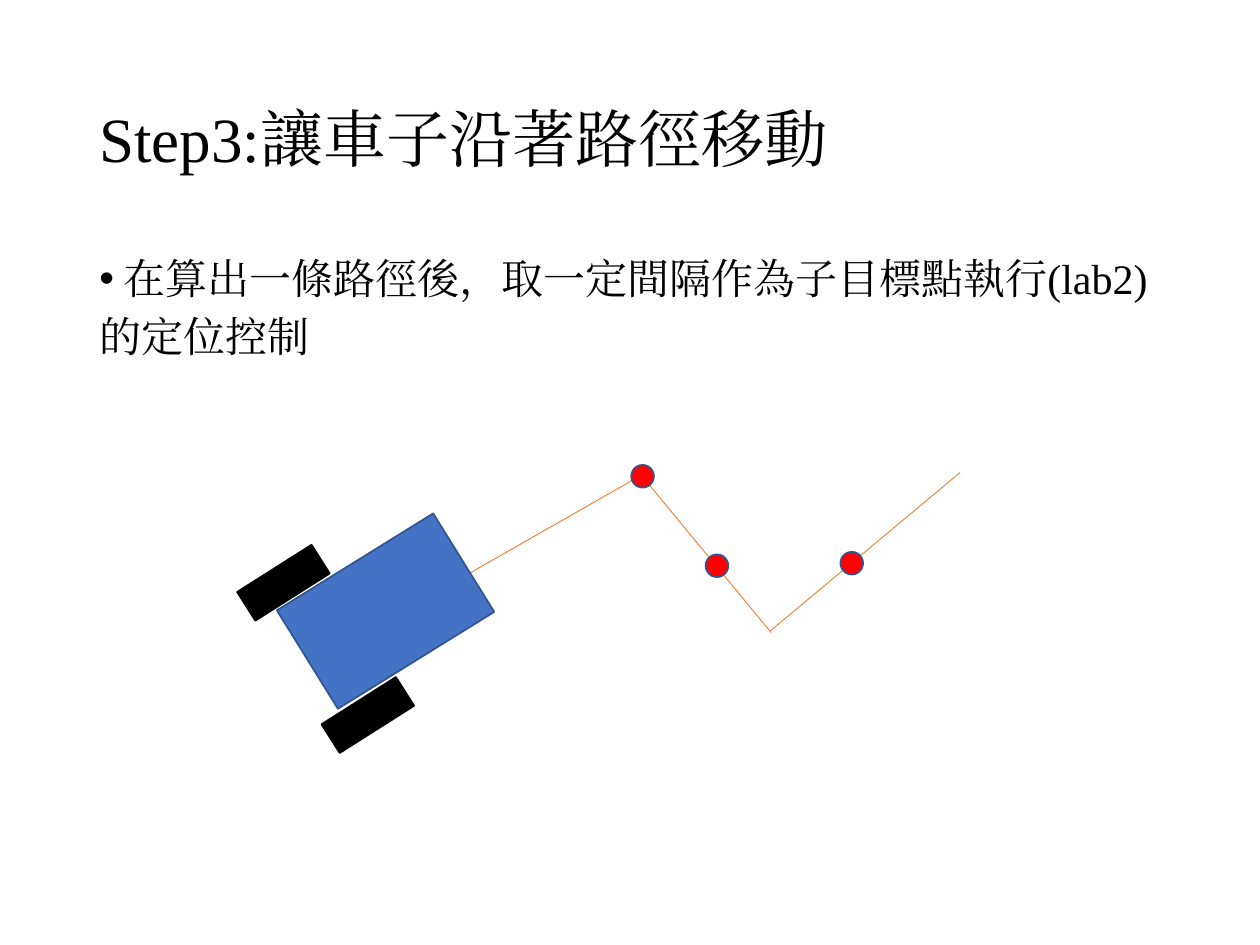
from lxml.etree import SubElement
from pptx import Presentation
from pptx.dml.color import RGBColor
from pptx.enum.shapes import MSO_CONNECTOR, MSO_SHAPE
from pptx.enum.text import MSO_ANCHOR
from pptx.oxml.ns import qn
from pptx.util import Inches, Pt

BLACK = RGBColor(0x00, 0x00, 0x00)
BLUE = RGBColor(0x44, 0x72, 0xC4)
OUTLINE = RGBColor(0x32, 0x54, 0x91)
ORANGE = RGBColor(0xED, 0x7D, 0x31)
RED = RGBColor(0xFF, 0x00, 0x00)
FONT = "Times New Roman"

prs = Presentation()
prs.slide_width, prs.slide_height = Inches(10), Inches(7.5)
s = prs.slides.add_slide(prs.slide_layouts[6])


def add_text(lines, top, height, size, anchor=MSO_ANCHOR.TOP, before=0, bullets=0):
    """Add a text box whose first `bullets` paragraphs are bulleted."""
    tf = s.shapes.add_textbox(Inches(0.69), Inches(top), Inches(8.62), Inches(height)).text_frame
    tf.word_wrap = True
    tf.vertical_anchor = anchor
    for i, line in enumerate(lines):
        p = tf.paragraphs[0] if i == 0 else tf.add_paragraph()
        p.line_spacing = 0.9
        p.space_before = Pt(before)
        if i < bullets:
            pPr = p._p.get_or_add_pPr()
            pPr.set("marL", str(Inches(0.19)))
            pPr.set("indent", str(Inches(-0.19)))
            SubElement(pPr, qn("a:buFont")).set("typeface", "Arial")
            SubElement(pPr, qn("a:buChar")).set("char", "•")
        r = p.add_run()
        r.text = line
        r.font.name = FONT
        r.font.size = Pt(size)
        r.font.color.rgb = BLACK
        SubElement(r._r.get_or_add_rPr(), qn("a:ea")).set("typeface", FONT)


def add_solid(kind, left, top, width, height, fill, line, rotation=0):
    sp = s.shapes.add_shape(kind, Inches(left), Inches(top), Inches(width), Inches(height))
    sp.shadow.inherit = False
    sp.fill.solid()
    sp.fill.fore_color.rgb = fill
    sp.line.color.rgb = line
    sp.line.width = Pt(1)
    sp.rotation = rotation


# Path, beginning under the car
for x1, y1, x2, y2 in [(3.06, 4.93, 5.11, 3.76), (5.08, 3.76, 6.12, 5.02), (6.11, 5.01, 7.62, 3.75)]:
    cxn = s.shapes.add_connector(MSO_CONNECTOR.STRAIGHT, Inches(x1), Inches(y1), Inches(x2), Inches(y2))
    cxn.line.color.rgb = ORANGE
    cxn.line.width = Pt(0.5)
    SubElement(cxn._element.spPr, qn("a:effectLst"))

# Title and body
add_text(["Step3:讓車子沿著路徑移動"], 0.4, 1.45, 36, anchor=MSO_ANCHOR.MIDDLE)
add_text(["在算出一條路徑後，取一定間隔作為子目標點執行(lab2)", "的定位控制"],
         2, 4.76, 24, before=7.5, bullets=1)

# Car: body and two wheels
add_solid(MSO_SHAPE.RECTANGLE, 2.33, 4.39, 1.46, 0.92, BLUE, OUTLINE, rotation=328.2)
for left, top in [(1.9, 4.49), (2.57, 5.54)]:
    add_solid(MSO_SHAPE.RECTANGLE, left, top, 0.7, 0.27, BLACK, BLACK, rotation=327.6)

# Sub-goal points
for left, top in [(5.01, 3.69), (5.6, 4.4), (6.67, 4.38)]:
    add_solid(MSO_SHAPE.OVAL, left, top, 0.18, 0.18, RED, OUTLINE)

prs.save("out.pptx")
